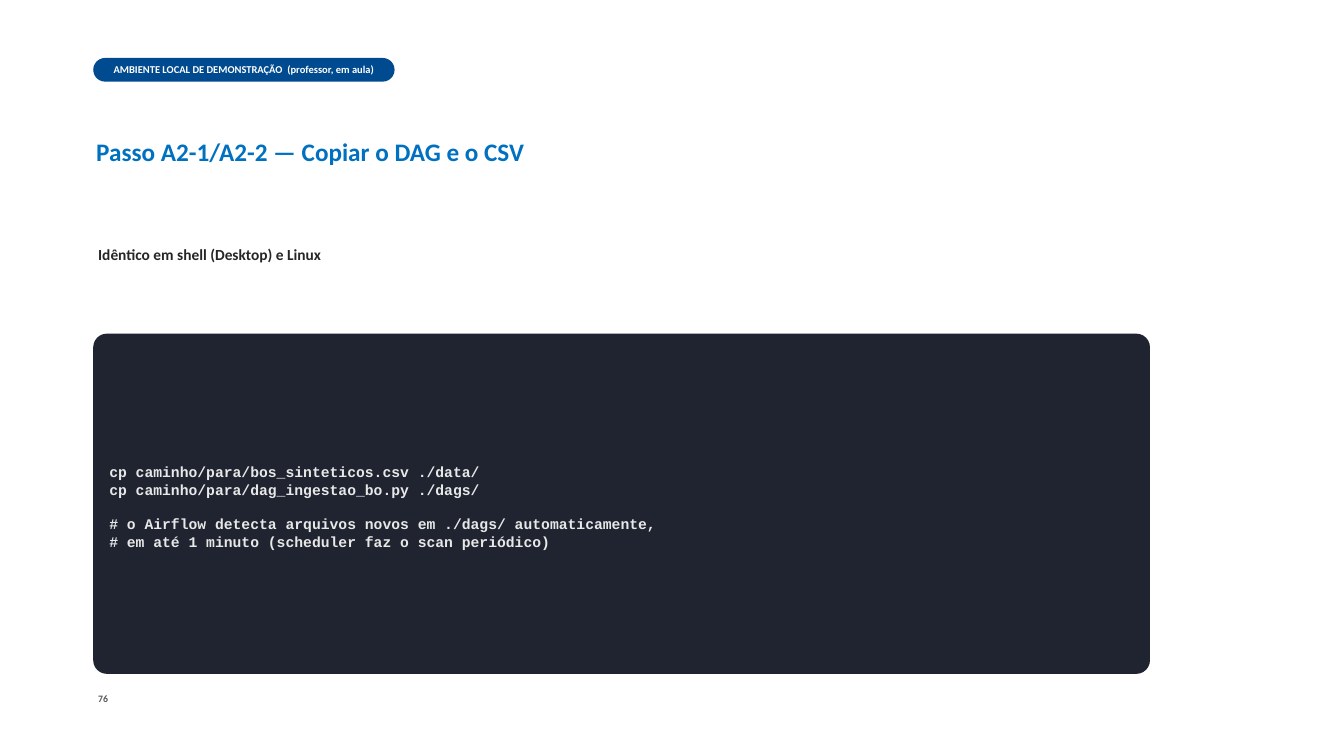
import pptx
import pptx.dml.color
import pptx.enum.shapes
import pptx.enum.text
import pptx.util

Inches = pptx.util.Inches
Pt = pptx.util.Pt
RGBColor = pptx.dml.color.RGBColor
Align = pptx.enum.text.PP_ALIGN
Anchor = pptx.enum.text.MSO_ANCHOR

TITLE_BLUE = RGBColor(0x00, 0x70, 0xC0)
BADGE_BLUE = RGBColor(0x00, 0x4A, 0x8F)
CODE_BACKGROUND = RGBColor(0x1F, 0x24, 0x30)
CODE_TEXT = RGBColor(0xE8, 0xE8, 0xE8)
DARK_TEXT = RGBColor(0x26, 0x26, 0x26)
GRAY = RGBColor(0x59, 0x59, 0x59)
WHITE = RGBColor(0xFF, 0xFF, 0xFF)

LEFT = 1.85
CONTENT_WIDTH = 20.97
DEFAULT_MARGINS = (0.1, 0.05, 0.1, 0.05)

COMMANDS = [
    "cp caminho/para/bos_sinteticos.csv ./data/",
    "cp caminho/para/dag_ingestao_bo.py ./dags/",
]
COMMENTS = [
    "# o Airflow detecta arquivos novos em ./dags/ automaticamente,",
    "# em até 1 minuto (scheduler faz o scan periódico)",
]


def write_lines(shape, lines, size, color, font="Calibri", align=Align.LEFT,
                anchor=Anchor.TOP, margins=DEFAULT_MARGINS):
    frame = shape.text_frame
    frame.word_wrap = True
    frame.auto_size = pptx.enum.text.MSO_AUTO_SIZE.NONE
    frame.vertical_anchor = anchor
    (frame.margin_left, frame.margin_top,
     frame.margin_right, frame.margin_bottom) = map(Inches, margins)
    frame.text = "\n".join(lines)
    for para in frame.paragraphs:
        para.alignment = align
        para.font.name = font
        para.font.size = Pt(size)
        para.font.bold = True
        para.font.color.rgb = color
    return frame


def add_title(page, text):
    title = page.shapes.title
    title.left, title.top = Inches(LEFT), Inches(1.76)
    title.width, title.height = Inches(CONTENT_WIDTH), Inches(2.5)
    write_lines(title, [text], 36, TITLE_BLUE, anchor=Anchor.MIDDLE,
                margins=(0.06,) * 4)


def add_label(page, text, top, width, height, size, color):
    box = page.shapes.add_textbox(
        Inches(LEFT), Inches(top), Inches(width), Inches(height))
    write_lines(box, [text], size, color)


def add_panel(page, top, width, height, rounding, fill):
    panel = page.shapes.add_shape(
        pptx.enum.shapes.MSO_SHAPE.ROUNDED_RECTANGLE,
        Inches(LEFT), Inches(top), Inches(width), Inches(height))
    panel.adjustments[0] = rounding
    panel.shadow.inherit = False
    panel.fill.solid()
    panel.fill.fore_color.rgb = fill
    panel.line.fill.background()
    return panel


def add_badge(page, text):
    badge = add_panel(page, 1.15, 5.98, 0.47, 0.5, BADGE_BLUE)
    write_lines(badge, [text], 15, WHITE, align=Align.CENTER,
                anchor=Anchor.MIDDLE)


def add_code(page, commands, comments):
    panel = add_panel(page, 6.62, CONTENT_WIDTH, 6.75, 0.04, CODE_BACKGROUND)
    frame = write_lines(panel, commands + comments, 21, CODE_TEXT,
                        font="Courier New", anchor=Anchor.MIDDLE,
                        margins=(0.24, 0.17, 0.16, 0.05))
    frame.paragraphs[len(commands)].space_before = Pt(24)


def main():
    deck = pptx.Presentation()
    deck.slide_width = Inches(26.67)
    deck.slide_height = Inches(15)
    page = deck.slides.add_slide(deck.slide_layouts.get_by_name("Title Only"))
    add_title(page, "Passo A2-1/A2-2 — Copiar o DAG e o CSV")
    add_label(page, "76", 13.69, 0.98, 0.44, 14, GRAY)
    add_badge(page, "AMBIENTE LOCAL DE DEMONSTRAÇÃO  (professor, em aula)")
    add_label(page, "Idêntico em shell (Desktop) e Linux",
              4.82, CONTENT_WIDTH, 1.64, 22, DARK_TEXT)
    add_code(page, COMMANDS, COMMENTS)
    deck.save("out.pptx")


if __name__ == "__main__":
    main()
